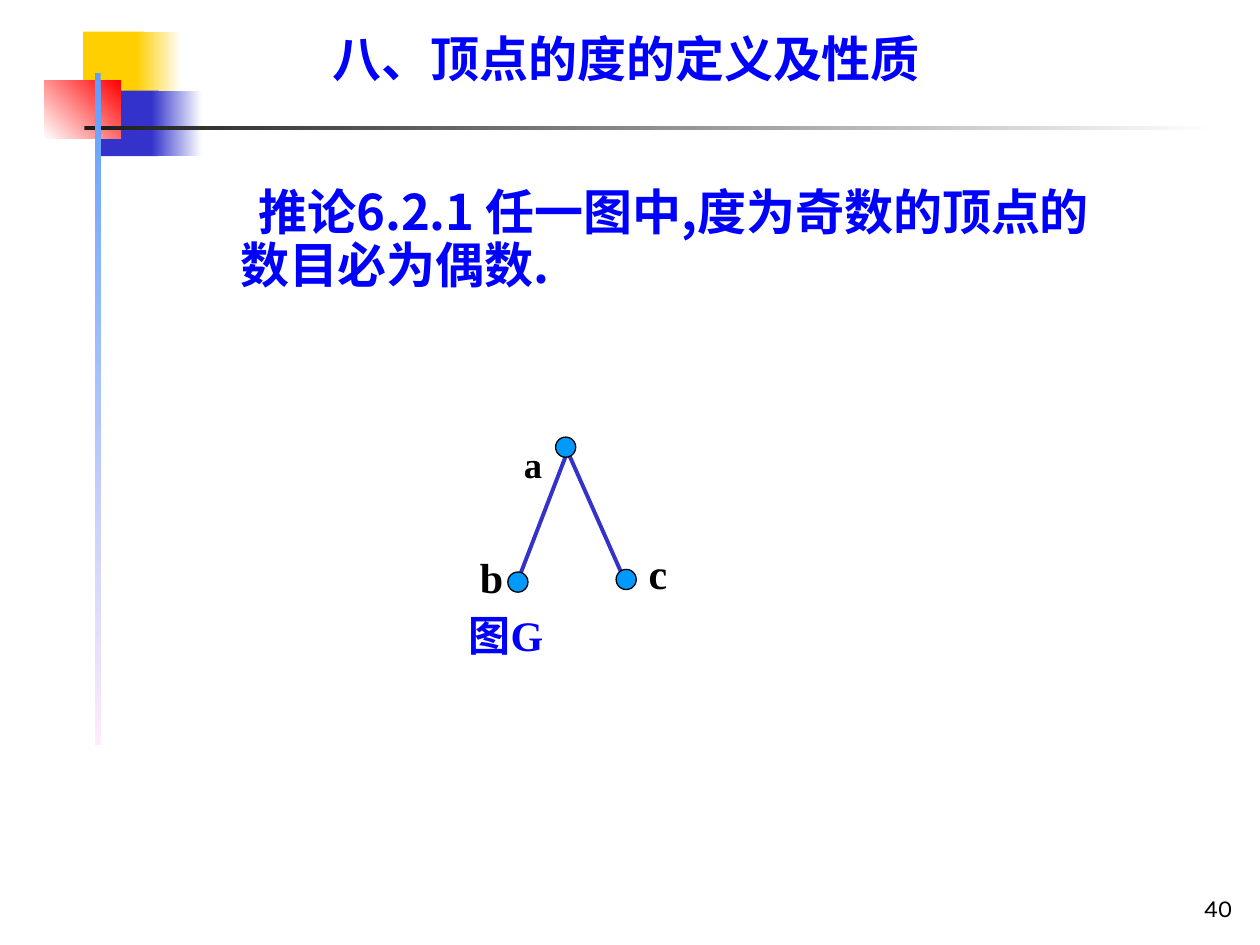
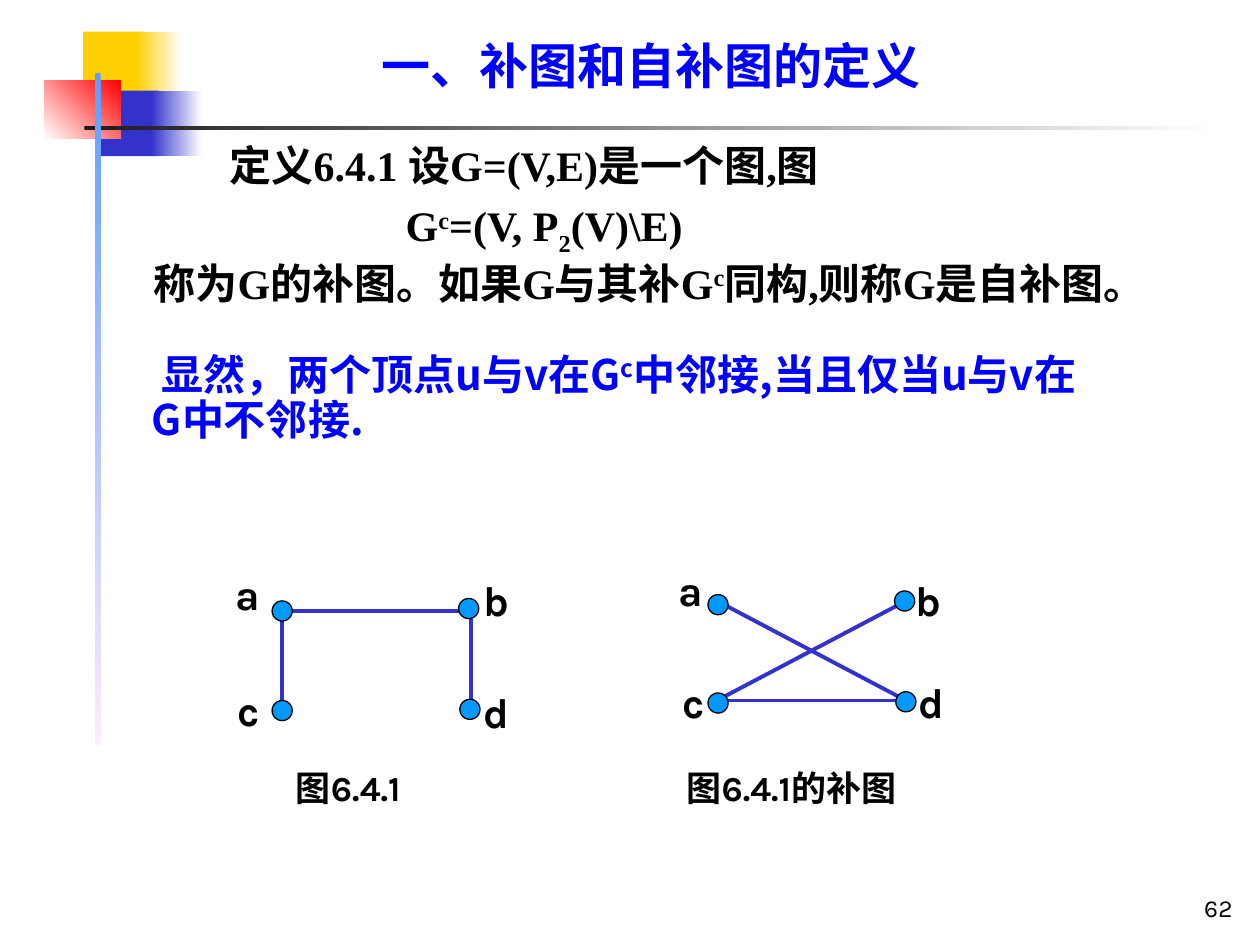
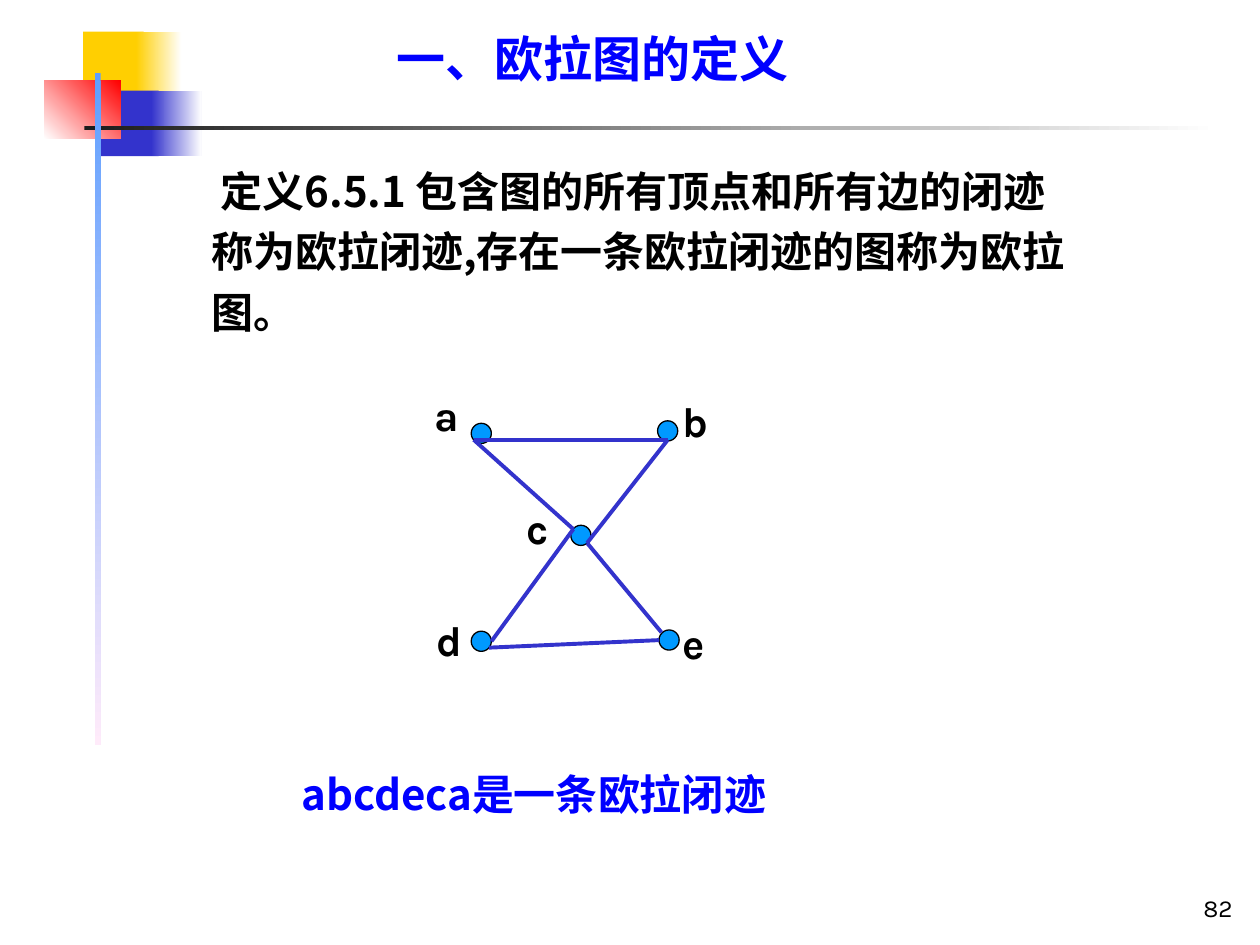
"""Three graph theory slides: vertex degree, complement graphs and Euler graphs."""
from dataclasses import dataclass
from typing import NamedTuple, Optional

from lxml import etree
from pptx import Presentation
from pptx.dml.color import RGBColor
from pptx.enum import shapes, text
from pptx.oxml import ns
from pptx.util import Pt

BLUE = RGBColor(0x00, 0x00, 0xFF)
BLACK = RGBColor(0x00, 0x00, 0x00)
WHITE = RGBColor(0xFF, 0xFF, 0xFF)
EDGE_BLUE = RGBColor(0x33, 0x33, 0xCC)
VERTEX_BLUE = RGBColor(0x00, 0x99, 0xFF)
YELLOW = RGBColor(0xFF, 0xCF, 0x01)
RED = RGBColor(0xFF, 0x00, 0x00)
CHARCOAL = RGBColor(0x1C, 0x1C, 0x1C)
SKY = RGBColor(0x5E, 0x9E, 0xFF)
PINK = RGBColor(0xFF, 0xEB, 0xFA)

SANS = "Noto Sans CJK SC"
SERIF = "Times New Roman"
KARLA = "Karla"

VERTEX_SIZE = 11.5
HANGING = 27
LABEL_INSETS = (7.2, 3.6)
KARLA_WIDTHS = {"a": 28.8, "b": 29.5, "c": 26.6, "d": 29.5, "e": 28.1}


class Box(NamedTuple):
    """Left, top, width and height in points."""
    left: float
    top: float
    width: float
    height: float


class Band(NamedTuple):
    """A rectangle of the corner ornament, plain or fading to an end colour."""
    box: Box
    start: RGBColor
    end: Optional[RGBColor] = None
    angle: float = 0


class Piece(NamedTuple):
    """A run of text with its baseline shift in percent."""
    words: str
    shift: int = 0


class Line(NamedTuple):
    """A paragraph and the start of its first line."""
    pieces: tuple[Piece, ...]
    first: float = 0


class Edge(NamedTuple):
    """A graph edge between two points."""
    x1: float
    y1: float
    x2: float
    y2: float


@dataclass(frozen=True)
class Passage:
    """A text box with one style for all its paragraphs."""
    box: Box
    lines: tuple[Line, ...]
    font: str = KARLA
    size: float = 24
    color: RGBColor = BLACK
    bold: bool = True
    spacing: Optional[float] = None
    left_margin: float = 0
    insets: tuple[float, float] = (0, 0)
    wrap: bool = True
    grow: bool = True
    align: text.PP_ALIGN = text.PP_ALIGN.LEFT
    anchor: text.MSO_ANCHOR = text.MSO_ANCHOR.TOP


@dataclass(frozen=True)
class Graph:
    """A drawn graph: vertices by their top left corner, edges and labels."""
    vertices: tuple[tuple[float, float], ...]
    edges: tuple[Edge, ...]
    labels: tuple[Passage, ...]
    edges_on_top: bool = False


@dataclass(frozen=True)
class Page:
    """The content of one slide."""
    number: int
    passages: tuple[Passage, ...]
    graphs: tuple[Graph, ...]


BANDS = (
    Band(Box(47.5, 18, 34.6, 37.4), YELLOW),
    Band(Box(77.8, 18, 25.9, 37.4), YELLOW, WHITE),
    Band(Box(57.6, 51.8, 33.1, 37.4), EDGE_BLUE),
    Band(Box(86.4, 51.8, 28.8, 37.4), EDGE_BLUE, WHITE),
    Band(Box(25.2, 46.1, 43.9, 33.1), WHITE, RED, 45),
    Band(Box(48.2, 72, 648, 2.2), CHARCOAL, WHITE),
    Band(Box(54, 41.8, 3.6, 383.8), SKY, PINK, 270),
)


def plain(words: str, first: float = 0) -> Line:
    """Make a paragraph of a single run."""
    return Line((Piece(words),), first)


def title(left: float, top: float, width: float, words: str,
          font: str = SERIF, wrap: bool = True) -> Passage:
    """Make a slide title."""
    return Passage(Box(left, top, width, 30.2), (plain(words, -HANGING),), font, 28,
                   BLUE, spacing=0.9, left_margin=HANGING, wrap=wrap)


def body(box: Box, lines: tuple[Line, ...], font: str = SANS, color: RGBColor = BLACK,
         size: float = 24, spacing: float = 0.9, wrap: bool = True) -> Passage:
    """Make an indented text passage."""
    return Passage(box, lines, font, size, color, spacing=spacing,
                   left_margin=HANGING, wrap=wrap)


def label(letter: str, left: float, top: float) -> Passage:
    """Make a vertex label."""
    return Passage(Box(left, top, KARLA_WIDTHS[letter], 36), (plain(letter),),
                   insets=LABEL_INSETS, wrap=False)


def serif_label(box: Box, piece: Piece, size: float = 24) -> Passage:
    """Make a vertex label in the serif font."""
    return Passage(box, (Line((piece,)),), SERIF, size, insets=LABEL_INSETS, wrap=False)


def caption(left: float, width: float, words: str) -> Passage:
    """Make a figure caption."""
    return Passage(Box(left, 434.2, width, 31.7), (plain(words),), size=20,
                   insets=LABEL_INSETS, wrap=False)


def page_number(number: int) -> Passage:
    """Make the slide number in the bottom right corner."""
    return Passage(Box(561.6, 494.6, 149.8, 36), (plain(str(number)),), size=14,
                   bold=False, insets=LABEL_INSETS, grow=False,
                   align=text.PP_ALIGN.RIGHT, anchor=text.MSO_ANCHOR.BOTTOM)


DEGREE = Page(
    40,
    (
        body(Box(110.2, 107.3, 521.3, 60.5),
             (plain("推论6.2.1 任一图中,度为奇数的顶点的数目必为偶数.", 10.5),),
             color=BLUE, size=28),
        body(Box(267.8, 351.4, 102.2, 25.9), (plain("图G", -HANGING),),
             SERIF, BLUE, wrap=False),
        title(190.1, 20.2, 351.4, "八、顶点的度的定义及性质"),
    ),
    (Graph(
        ((290.2, 326.9), (352.1, 325.4), (317.5, 249.8)),
        (Edge(323.3, 260.6, 295.9, 331.9), Edge(323.3, 255.6, 357.1, 331.9)),
        (serif_label(Box(267.1, 311.8, 27.4, 36), Piece("b")),
         serif_label(Box(363.6, 309.6, 25.2, 36), Piece("c")),
         serif_label(Box(292.3, 224.6, 24.5, 56.9), Piece("a", -25), 36)),
    ),),
)

COMPLEMENT = Page(
    62,
    (
        title(218.2, 23.8, 323.3, "一、补图和自补图的定义"),
        body(Box(87.8, 82.8, 595.4, 119.5), (
            plain("定义6.4.1 设G=(V,E)是一个图,图", 16.5),
            Line((Piece("G"), Piece("c", 30), Piece("=(V, P"), Piece("2", -25),
                  Piece("(V)\\E)")), 117),
            Line((Piece("称为G的补图。如果G与其补G"), Piece("c", 30),
                  Piece("同构,则称G是自补图。")), -HANGING),
        ), SERIF),
        body(Box(59.8, 202.3, 564.5, 51.8), (
            Line((Piece("显然，两个顶点u与v在G"), Piece("c", 30),
                  Piece("中邻接,当且仅当u与v在G中不邻接.")), 5.5),
        ), color=BLUE),
        caption(162, 85, "图6.4.1"),
        caption(385.2, 149.8, "图6.4.1的补图"),
    ),
    (
        Graph(
            ((155.5, 343.4), (262.1, 342), (155.5, 400.3), (262.8, 399.6)),
            (Edge(161.3, 349.2, 161.3, 400.3), Edge(269.3, 349.2, 269.3, 406.1),
             Edge(167, 349.2, 263.5, 349.2)),
            (label("a", 127.4, 321.1), label("b", 269.3, 324.7),
             label("c", 128.9, 387.4), label("d", 269.3, 388.8)),
        ),
        Graph(
            ((404.6, 339.8), (511.2, 337.7), (404.6, 396), (511.9, 395.3)),
            (Edge(415.4, 400.3, 511.9, 400.3), Edge(409.7, 400.3, 517.7, 343.4),
             Edge(409.7, 343.4, 517.7, 400.3)),
            (label("a", 380.9, 319), label("b", 516.2, 324.7),
             label("c", 383, 383), label("d", 517.7, 383)),
        ),
    ),
)

EULER = Page(
    82,
    (
        title(226.8, 20.2, 277.9, "一、欧拉图的定义", SANS, wrap=False),
        body(Box(93.6, 88.6, 527, 103.7), (
            plain("定义6.5.1 包含图的所有顶点和所有边的闭迹称为欧拉闭迹,"
                  "存在一条欧拉闭迹的图称为欧拉图。", 5.5),
        ), spacing=1.2),
        body(Box(139.7, 433.4, 356.4, 34.6), (plain("abcdeca是一条欧拉闭迹", 5.5),),
             color=BLUE, spacing=1.2),
    ),
    (Graph(
        ((269.3, 241.9), (375.8, 240.5), (269.3, 360.7), (376.6, 360), (326.2, 300.2)),
        (Edge(270.7, 251.3, 327.6, 302.4), Edge(335.5, 310.3, 381.6, 251.3),
         Edge(270.7, 251.3, 381.6, 251.3), Edge(327.6, 302.4, 280.8, 366.5),
         Edge(279.4, 370.1, 376.6, 365.8), Edge(335.5, 310.3, 378, 361.4)),
        (label("a", 241.2, 218.9), label("b", 383, 222.5), label("d", 242.6, 347.8),
         label("e", 383, 349.2), label("c", 293.8, 283.7)),
        edges_on_top=True,
    ),),
)


def place(box: Box) -> list[Pt]:
    """Turn a box into lengths."""
    return [Pt(length) for length in box]


def draw_band(slide, band: Band) -> None:
    """Draw one rectangle of the corner ornament."""
    ornament = slide.shapes.add_shape(shapes.MSO_SHAPE.RECTANGLE, *place(band.box))
    ornament.shadow.inherit = False
    ornament.line.fill.background()
    if band.end is None:
        ornament.fill.solid()
        ornament.fill.fore_color.rgb = band.start
        return
    ornament.fill.gradient()
    ornament.fill.gradient_angle = band.angle
    for stop, color in zip(ornament.fill.gradient_stops, (band.start, band.end)):
        stop.color.rgb = color


def draw_passage(slide, passage: Passage) -> None:
    """Write a text box run by run."""
    frame = slide.shapes.add_textbox(*place(passage.box)).text_frame
    frame.word_wrap = passage.wrap
    frame.auto_size = (text.MSO_AUTO_SIZE.SHAPE_TO_FIT_TEXT if passage.grow
                       else text.MSO_AUTO_SIZE.NONE)
    frame.vertical_anchor = passage.anchor
    frame.margin_left = frame.margin_right = Pt(passage.insets[0])
    frame.margin_top = frame.margin_bottom = Pt(passage.insets[1])
    for index, line in enumerate(passage.lines):
        paragraph = frame.add_paragraph() if index else frame.paragraphs[0]
        paragraph.alignment = passage.align
        if passage.spacing:
            paragraph.line_spacing = passage.spacing
        if index:
            paragraph.space_before = Pt(6)
        properties = paragraph._p.get_or_add_pPr()
        properties.set("marL", str(Pt(passage.left_margin)))
        properties.set("indent", str(Pt(line.first)))
        for piece in line.pieces:
            write_piece(paragraph, piece, passage)


def write_piece(paragraph, piece: Piece, style: Passage) -> None:
    """Add one run with its font and baseline."""
    run = paragraph.add_run()
    run.text = piece.words
    run.font.size = Pt(style.size)
    run.font.bold = style.bold
    run.font.color.rgb = style.color
    run.font.name = style.font
    properties = run._r.get_or_add_rPr()
    etree.SubElement(properties, ns.qn("a:ea"), typeface=SANS)
    if piece.shift:
        properties.set("baseline", str(piece.shift * 1000))


def draw_edges(slide, edges: tuple[Edge, ...]) -> None:
    """Draw the edges of a graph."""
    for edge in edges:
        link = slide.shapes.add_connector(shapes.MSO_CONNECTOR.STRAIGHT,
                                          *(Pt(value) for value in edge))
        link.line.color.rgb = EDGE_BLUE
        link.line.width = Pt(2.25)
        etree.SubElement(link._element.spPr, ns.qn("a:effectLst"))


def draw_vertices(slide, vertices: tuple[tuple[float, float], ...]) -> None:
    """Draw the vertices of a graph."""
    for left, top in vertices:
        vertex = slide.shapes.add_shape(shapes.MSO_SHAPE.OVAL,
                                        *place(Box(left, top, VERTEX_SIZE, VERTEX_SIZE)))
        vertex.shadow.inherit = False
        vertex.fill.solid()
        vertex.fill.fore_color.rgb = VERTEX_BLUE
        vertex.line.color.rgb = BLACK
        vertex.line.width = Pt(0.75)


def draw_graph(slide, graph: Graph) -> None:
    """Draw a graph with its labels."""
    if graph.edges_on_top:
        draw_vertices(slide, graph.vertices)
        draw_edges(slide, graph.edges)
    else:
        draw_edges(slide, graph.edges)
        draw_vertices(slide, graph.vertices)
    for name in graph.labels:
        draw_passage(slide, name)


def draw_page(deck, page: Page) -> None:
    """Build one slide."""
    slide = deck.slides.add_slide(deck.slide_layouts[6])
    for band in BANDS:
        draw_band(slide, band)
    for passage in (page_number(page.number), *page.passages):
        draw_passage(slide, passage)
    for graph in page.graphs:
        draw_graph(slide, graph)


def main() -> None:
    """Build and save the deck."""
    deck = Presentation()
    deck.slide_width, deck.slide_height = Pt(720), Pt(540)
    for page in (DEGREE, COMPLEMENT, EULER):
        draw_page(deck, page)
    deck.save("out.pptx")


if __name__ == "__main__":
    main()
